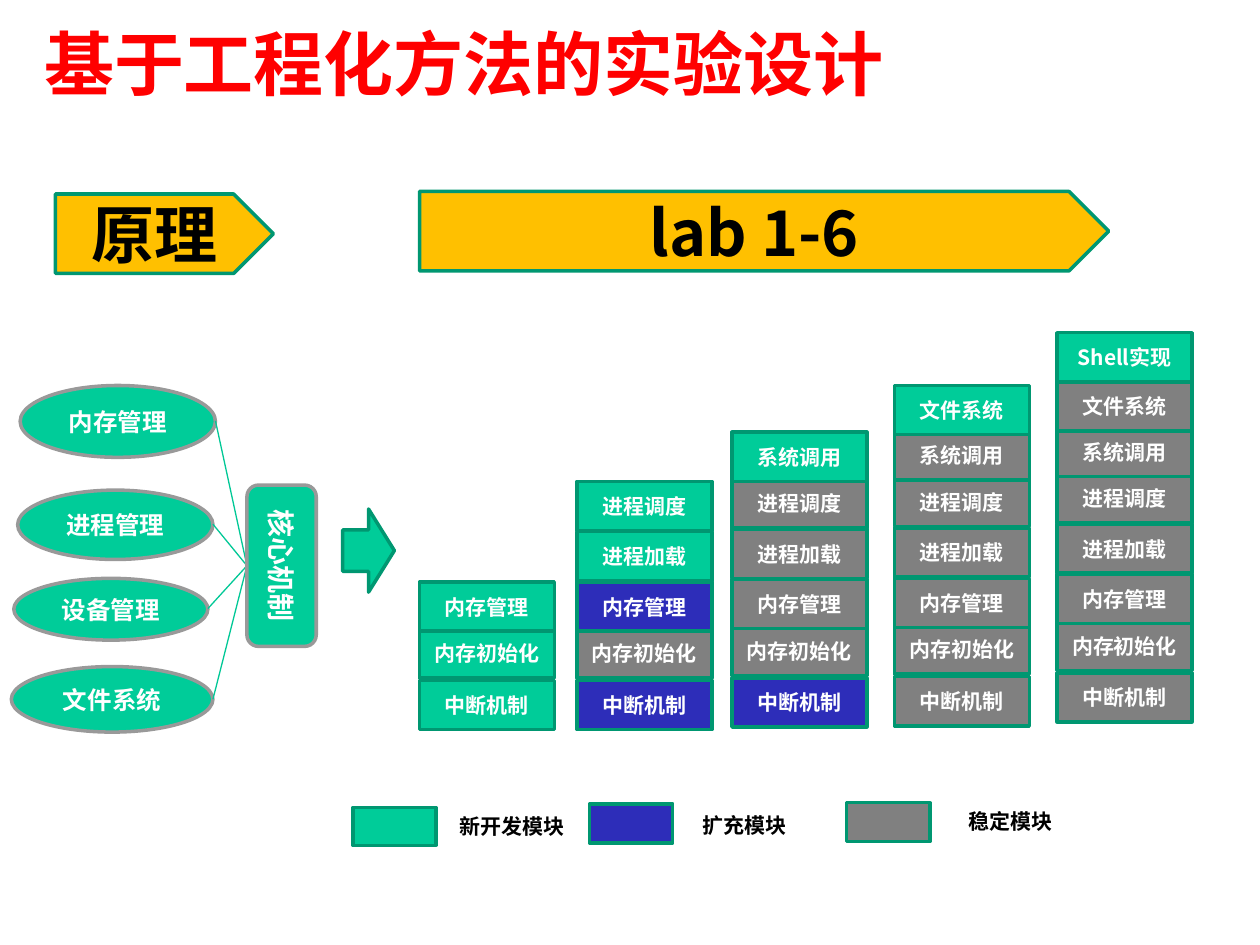
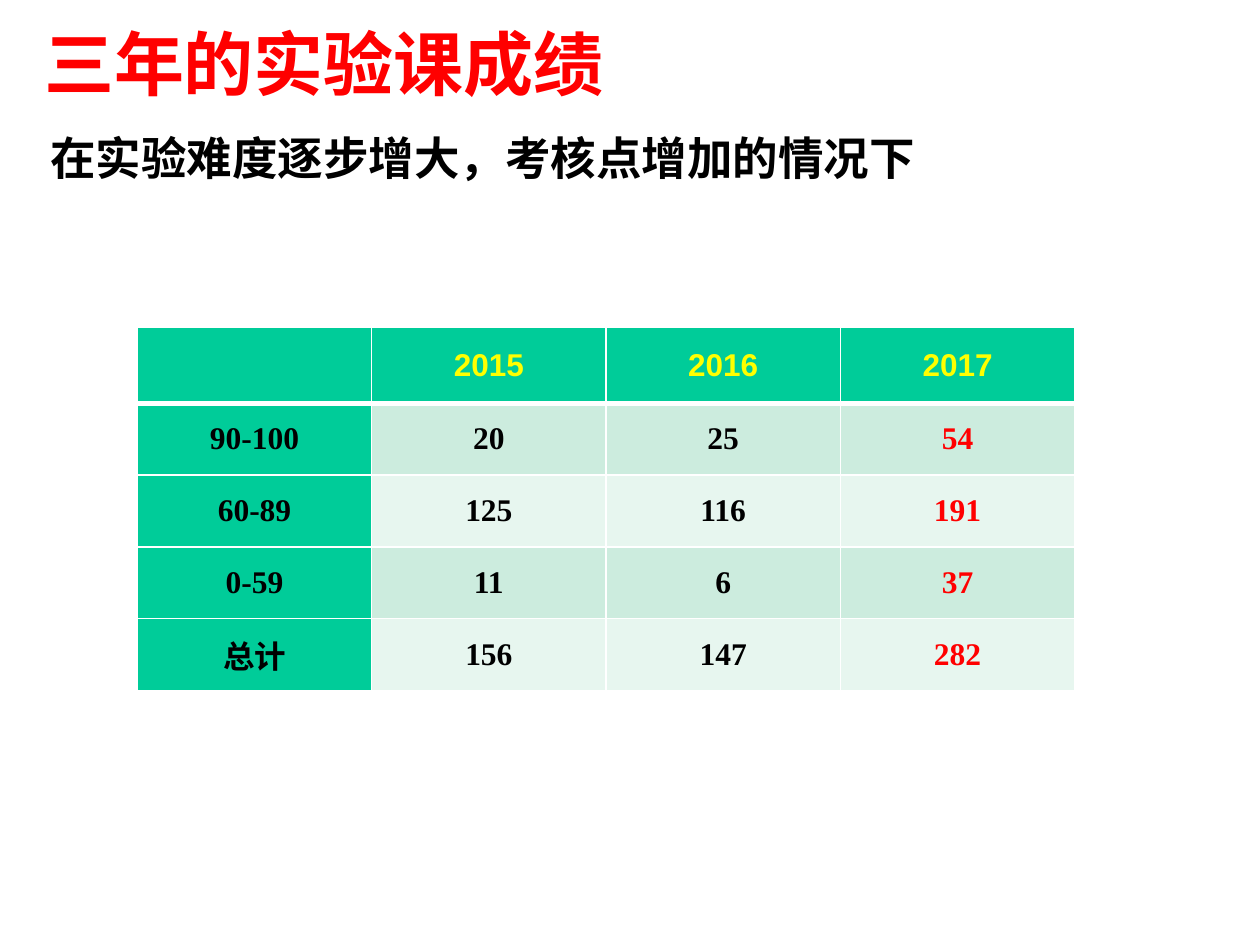
"""Build two slides on a lab course: its module plan and its marks."""
from dataclasses import dataclass
from typing import Any

import lxml.etree
import pptx
import pptx.dml.color
import pptx.enum.shapes
import pptx.enum.text
import pptx.oxml.ns
import pptx.util

KIND = pptx.enum.shapes.MSO_SHAPE
ALIGN = pptx.enum.text.PP_ALIGN
MIDDLE = pptx.enum.text.MSO_ANCHOR.MIDDLE
SCALE = 9144


@dataclass(frozen=True)
class Theme:
    """Colours, fonts, type sizes and line widths of both slides."""
    green: str = "00CC99"
    edge: str = "009771"
    link: str = "00C896"
    blue: str = "2D2DB9"
    grey: str = "808080"
    rim: str = "999999"
    gold: str = "FFC000"
    red: str = "FF0000"
    yellow: str = "FFFF00"
    black: str = "000000"
    white: str = "FFFFFF"
    bands: tuple[str, str] = ("CCECDE", "E7F6EF")
    hans: str = "Noto Sans CJK SC"
    sans: str = "Arial"
    serif: str = "Times New Roman"
    label: str = "Calibri"
    title: int = 40
    plate: int = 36
    lead: int = 26
    cell: int = 18
    core: int = 16
    topic: int = 14
    small: int = 12
    line: float = 2
    thin: float = 0.75


THEME = Theme()


@dataclass(frozen=True)
class Box:
    """A place on the slide, in px."""
    left: int
    top: int
    width: int
    height: int

    def emu(self) -> list[int]:
        """Give the four lengths in EMU."""
        return [n * SCALE for n in (self.left, self.top, self.width, self.height)]


@dataclass(frozen=True)
class Type:
    """The look of a run of text."""
    size: int
    tint: str = THEME.white
    face: str = THEME.hans
    align: Any = ALIGN.CENTER


@dataclass(frozen=True)
class Form:
    """A preset shape with its fill, line and words."""
    kind: Any
    box: Box
    fill: str = THEME.green
    edge: str = THEME.edge
    text: str = ""
    type: Type = Type(THEME.small)


@dataclass(frozen=True)
class Lab:
    """A stack of modules, with one state letter each from the base up."""
    left: int
    base: int
    states: str


@dataclass(frozen=True)
class Key:
    """A legend swatch and its label."""
    swatch: Box
    state: str
    label: Box
    text: str


PLATE = Type(THEME.plate, THEME.black)
TOPIC = Type(THEME.topic)
STATES = {"n": THEME.green, "x": THEME.blue, "s": THEME.grey}
MODULES = ("中断机制", "内存初始化", "内存管理", "进程加载",
           "进程调度", "系统调用", "文件系统", "Shell实现")
RISES = (0, 41, 78, 118, 158, 195, 231, 270)
LABS = (Lab(333, 540, "nnn"), Lab(458, 540, "xsxnn"), Lab(581, 538, "xssssn"),
        Lab(710, 537, "ssssssn"), Lab(839, 534, "sssssssn"))
TOPICS = {"内存管理": Box(16, 306, 155, 57), "进程管理": Box(14, 389, 155, 55),
          "设备管理": Box(11, 459, 154, 49), "文件系统": Box(9, 529, 160, 52)}
CORE = Box(196, 385, 55, 128)
KEYS = (Key(Box(280, 641, 66, 30), "n", Box(355, 641, 148, 30), "新开发模块"),
        Key(Box(468, 638, 66, 31), "x", Box(548, 640, 172, 30), "扩充模块"),
        Key(Box(672, 637, 66, 31), "s", Box(759, 637, 110, 30), "稳定模块"))
MARKS = (("", "2015", "2016", "2017"),
         ("90-100", "20", "25", "54"),
         ("60-89", "125", "116", "191"),
         ("0-59", "11", "6", "37"),
         ("总计", "156", "147", "282"))


def dress(item: Any, **looks: Any) -> None:
    """Set each attribute from its format value."""
    for name, value in looks.items():
        setattr(item, name, value)


def rgb(code: str) -> pptx.dml.color.RGBColor:
    """Turn a hex code into a colour."""
    return pptx.dml.color.RGBColor.from_string(code)


def paint(fill: Any, code: str) -> None:
    """Give a fill one solid colour."""
    fill.solid()
    fill.fore_color.rgb = rgb(code)


def child(node: Any, tag: str, **attrs: str) -> Any:
    """Append an XML child in the drawing namespace."""
    return lxml.etree.SubElement(node, pptx.oxml.ns.qn(tag), **attrs)


def write(frame: Any, text: str, look: Type) -> None:
    """Put one styled line into a text frame."""
    para = frame.paragraphs[0]
    para.alignment = look.align
    run = para.add_run()
    run.text = text
    dress(run.font, size=pptx.util.Pt(look.size), bold=True, name=look.face)
    run.font.color.rgb = rgb(look.tint)
    child(run.font._element, "a:ea", typeface=THEME.hans)


def draw(shapes: Any, form: Form) -> Any:
    """Draw a preset shape."""
    shape = shapes.add_shape(form.kind, *form.box.emu())
    shape.shadow.inherit = False
    paint(shape.fill, form.fill)
    paint(shape.line.fill, form.edge)
    shape.line.width = pptx.util.Pt(THEME.line)
    if form.text:
        dress(shape.text_frame, margin_left=0, margin_right=0, margin_top=0,
              margin_bottom=0, word_wrap=True, vertical_anchor=MIDDLE)
        write(shape.text_frame, form.text, form.type)
    return shape


def note(shapes: Any, box: Box, text: str, look: Type) -> Any:
    """Add a text box and return its frame."""
    frame = shapes.add_textbox(*box.emu()).text_frame
    dress(frame, word_wrap=True)
    write(frame, text, look)
    return frame


def join(shapes: Any, start: Box, end: Box) -> None:
    """Link the right side of one box to the left side of the next."""
    ends = (start.left + start.width, start.top + start.height // 2,
            end.left, end.top + end.height // 2)
    link = shapes.add_connector(pptx.enum.shapes.MSO_CONNECTOR.STRAIGHT,
                                *(n * SCALE for n in ends))
    paint(link.line.fill, THEME.link)
    link.line.width = pptx.util.Pt(THEME.thin)
    child(link._element.spPr, "a:effectLst")


def start(deck: Any, text: str) -> Any:
    """Add a slide with its title and return its shapes."""
    shapes = deck.slides.add_slide(deck.slide_layouts[5]).shapes
    left, top, width, height = Box(25, 21, 918, 58).emu()
    dress(shapes.title, left=left, top=top, width=width, height=height)
    dress(shapes.title.text_frame, vertical_anchor=MIDDLE, word_wrap=True,
          auto_size=pptx.enum.text.MSO_AUTO_SIZE.NONE)
    write(shapes.title.text_frame, text,
          Type(THEME.title, THEME.red, align=ALIGN.LEFT))
    return shapes


def stack(shapes: Any, lab: Lab) -> None:
    """Pile up the modules of one lab as a group."""
    group = shapes.add_group_shape().shapes
    for state, text, rise in zip(lab.states, MODULES, RISES):
        box = Box(lab.left, lab.base - rise, 107, 39)
        draw(group, Form(KIND.RECTANGLE, box, STATES[state], text=text))


def plan(deck: Any) -> None:
    """Build the slide on the lab design."""
    shapes = start(deck, "基于工程化方法的实验设计")
    for text, box in {"原理": Box(44, 154, 173, 63),
                      "lab 1-6": Box(333, 152, 547, 63)}.items():
        draw(shapes, Form(KIND.PENTAGON, box, THEME.gold, text=text, type=PLATE))
    for text, box in TOPICS.items():
        draw(shapes, Form(KIND.OVAL, box, edge=THEME.rim, text=text, type=TOPIC))
        join(shapes, box, CORE)
    core = draw(shapes, Form(KIND.ROUNDED_RECTANGLE, CORE, edge=THEME.rim,
                             text="核心机制", type=Type(THEME.core)))
    core._element.txBody.bodyPr.set("vert", "vert")
    draw(shapes, Form(KIND.RIGHT_ARROW, Box(272, 404, 41, 66)))
    for lab in LABS:
        stack(shapes, lab)
    look = Type(THEME.small, THEME.black, THEME.label, ALIGN.LEFT)
    for key in KEYS:
        draw(shapes, Form(KIND.RECTANGLE, key.swatch, STATES[key.state]))
        dress(note(shapes, key.label, key.text, look), vertical_anchor=MIDDLE)


def border(cell: Any, **widths: int) -> None:
    """Draw white cell borders with widths in points."""
    for side, width in widths.items():
        line = child(cell._tc.get_or_add_tcPr(), f"a:ln{side}",
                     w=str(pptx.util.Pt(width)))
        child(child(line, "a:solidFill"), "a:srgbClr", val=THEME.white)


def mark(cell: Any, row: int, col: int) -> None:
    """Fill and format one cell of the marks table."""
    border(cell, L=1, R=1, T=3 if row == 1 else 1, B=1 if row else 3)
    paint(cell.fill, THEME.bands[(row - 1) % 2] if row and col else THEME.green)
    side, edge = 7 * SCALE, 8 * SCALE
    dress(cell, vertical_anchor=MIDDLE, margin_left=side, margin_right=side,
          margin_top=edge, margin_bottom=edge)
    if not row:
        look = Type(THEME.cell, THEME.yellow, THEME.sans)
    else:
        tint = THEME.red if col == 3 else THEME.black
        look = Type(THEME.cell, tint, THEME.serif)
    if MARKS[row][col]:
        write(cell.text_frame, MARKS[row][col], look)


def score(deck: Any) -> None:
    """Build the slide on three years of marks."""
    shapes = start(deck, "三年的实验课成绩")
    lead = note(shapes, Box(30, 103, 939, 52), "在实验难度逐步增大，考核点增加的情况下",
                Type(THEME.lead, THEME.black, align=ALIGN.LEFT))
    dress(lead.paragraphs[0], line_spacing=0.9)
    grid = shapes.add_table(len(MARKS), len(MARKS[0]),
                            *Box(109, 260, 744, 288).emu()).table
    for num, row in enumerate(grid.rows):
        row.height = (57 if num else 60) * SCALE
        for col, cell in enumerate(row.cells):
            mark(cell, num, col)


def main() -> None:
    """Build and save the deck."""
    deck = pptx.Presentation()
    dress(deck, slide_width=1000 * SCALE, slide_height=750 * SCALE)
    plan(deck)
    score(deck)
    deck.save("out.pptx")


if __name__ == "__main__":
    main()
